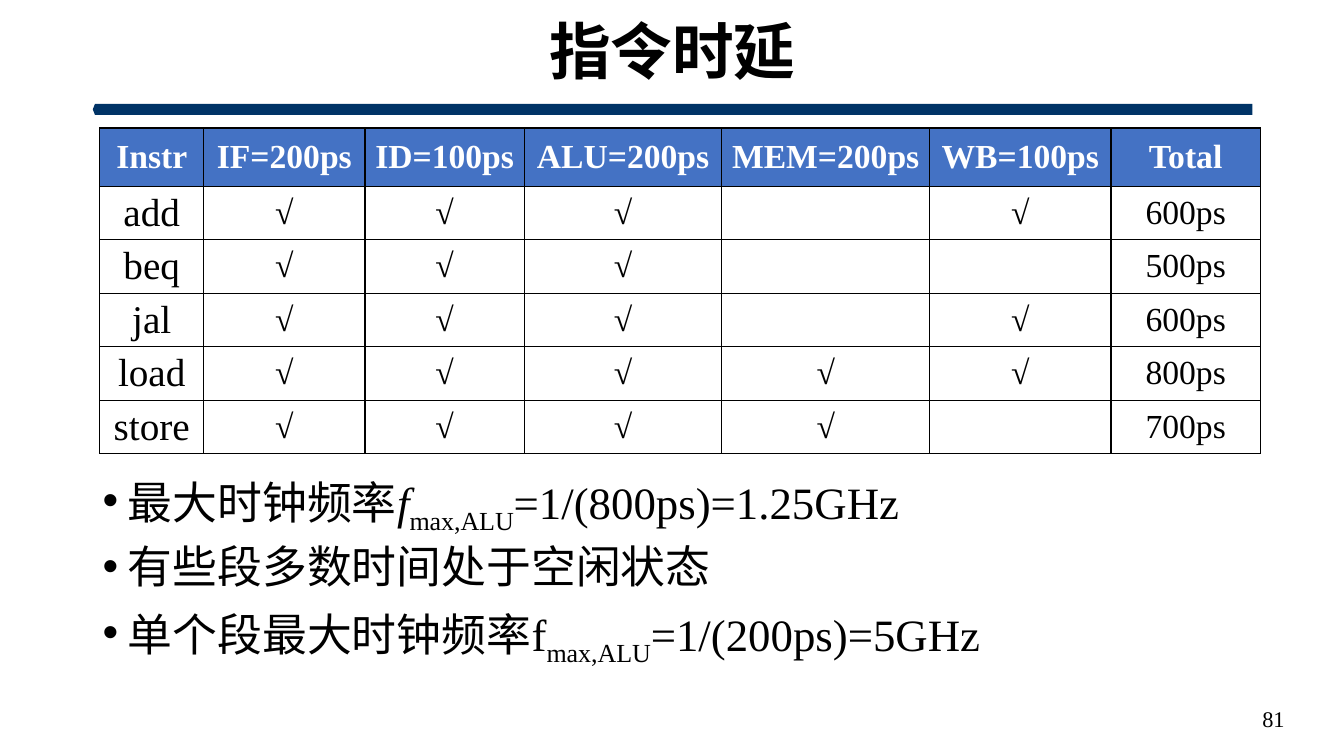
from dataclasses import dataclass

from lxml import etree
from pptx import Presentation
from pptx.dml.color import RGBColor
from pptx.enum.lang import MSO_LANGUAGE_ID
from pptx.enum.shapes import MSO_SHAPE
from pptx.enum.text import MSO_ANCHOR, PP_ALIGN
from pptx.oxml.ns import qn
from pptx.util import Inches, Pt

PENTAGON = MSO_SHAPE.PENTAGON
MIDDLE, TOP = MSO_ANCHOR.MIDDLE, MSO_ANCHOR.TOP
LEFT, CENTER, RIGHT = PP_ALIGN.LEFT, PP_ALIGN.CENTER, PP_ALIGN.RIGHT
CHINESE = MSO_LANGUAGE_ID.SIMPLIFIED_CHINESE


@dataclass(frozen=True)
class Theme:
    font: str = "Times New Roman"
    ink: str = "000000"
    paper: str = "FFFFFF"
    bar: str = "003366"
    header: str = "4472C4"
    title: int = 44
    body: int = 32
    instr: int = 28
    cell: int = 24
    number: int = 16


THEME = Theme()

STAGES = ["IF=200ps", "ID=100ps", "ALU=200ps", "MEM=200ps", "WB=100ps"]
COLUMN_WIDTHS = [1.03, 1.6, 1.58, 1.96, 2.06, 1.8, 1.48]
HEADER_HEIGHT, ROW_HEIGHT = 0.58, 0.53
# Instruction, stages it uses, total delay
INSTRUCTIONS = [
    ("add", "IF ID ALU WB", "600ps"),
    ("beq", "IF ID ALU", "500ps"),
    ("jal", "IF ID ALU WB", "600ps"),
    ("load", "IF ID ALU MEM WB", "800ps"),
    ("store", "IF ID ALU MEM", "700ps"),
]

ITALIC = {"italic": True}
SUBSCRIPT = {"baseline": "-25000"}
POINTS = [
    [("最大时钟频率", {}), ("f", ITALIC), ("max,ALU", SUBSCRIPT), ("=1/(800ps)=1.25GHz", {})],
    [("有些段多数时间处于空闲状态", {})],
    [("单个段最大时钟频率f", {}), ("max,ALU", SUBSCRIPT), ("=1/(200ps)=5GHz", {})],
]


def add_run(p, text, size, color=THEME.ink, baseline=None, **extra):
    r = p.add_run()
    r.text = text
    formats = {"name": THEME.font, "size": Pt(size), "language_id": CHINESE, **extra}
    for name, value in formats.items():
        setattr(r.font, name, value)
    r.font.color.rgb = RGBColor.from_string(color)
    if baseline:
        r.font._element.set("baseline", baseline)


def add_text_frame(s, box, anchor):
    tf = s.shapes.add_textbox(*map(Inches, box)).text_frame
    tf.word_wrap = True
    tf.vertical_anchor = anchor
    return tf


def add_line(s, box, text, size, align, **extra):
    """Add a one-line text box, centred vertically."""
    p = add_text_frame(s, box, MIDDLE).paragraphs[0]
    p.alignment = align
    p.line_spacing = 0.9
    add_run(p, text, size, **extra)


def add_title(s, box):
    x, y, w, h = box
    add_line(s, box, "指令时延", THEME.title, CENTER, bold=True)
    bar = s.shapes.add_shape(PENTAGON, *map(Inches, (x, y + h + 0.08, w, 0.11)))
    bar.adjustments[0] = 0.2
    bar.rotation = 180
    bar.shadow.inherit = False
    bar.fill.solid()
    bar.fill.fore_color.rgb = RGBColor.from_string(THEME.bar)
    bar.line.fill.background()


def set_borders(cell):
    tcPr = cell._tc.get_or_add_tcPr()
    for i, side in enumerate(("lnL", "lnR", "lnT", "lnB")):
        ln = etree.Element(qn(f"a:{side}"), w=str(Pt(1)))
        fill = etree.SubElement(ln, qn("a:solidFill"))
        etree.SubElement(fill, qn("a:srgbClr"), val=THEME.ink)
        tcPr.insert(i, ln)


def fill_cell(cell, text, size, color, bold, background):
    cell.fill.solid()
    cell.fill.fore_color.rgb = RGBColor.from_string(background)
    set_borders(cell)
    cell.vertical_anchor = MIDDLE
    cell.margin_top = cell.margin_bottom = Inches(0.03)
    cell.margin_left = cell.margin_right = Inches(0.05)
    p = cell.text_frame.paragraphs[0]
    p.alignment = CENTER
    if text:
        add_run(p, text, size, color, bold=bold)


def add_delay_table(s, x, y):
    rows = [["Instr", *STAGES, "Total"]]
    for name, used, total in INSTRUCTIONS:
        marks = ["√" if stage.split("=")[0] in used.split() else "" for stage in STAGES]
        rows.append([name, *marks, total])
    heights = [HEADER_HEIGHT] + [ROW_HEIGHT] * len(INSTRUCTIONS)
    box = (x, y, sum(COLUMN_WIDTHS), sum(heights))
    table = s.shapes.add_table(len(rows), len(COLUMN_WIDTHS), *map(Inches, box)).table
    for column, width in zip(table.columns, COLUMN_WIDTHS):
        column.width = Inches(width)
    for row, height in zip(table.rows, heights):
        row.height = Inches(height)
    for i, texts in enumerate(rows):
        for j, text in enumerate(texts):
            size = THEME.instr if i and j == 0 else THEME.cell
            color, background = (THEME.ink, THEME.paper) if i else (THEME.paper, THEME.header)
            fill_cell(table.cell(i, j), text, size, color, i == 0 or text == "√", background)


def add_points(s, box):
    tf = add_text_frame(s, box, TOP)
    for i, runs in enumerate(POINTS):
        p = tf.add_paragraph() if i else tf.paragraphs[0]
        pPr = p._p.get_or_add_pPr()
        pPr.set("marL", str(Inches(0.25)))
        pPr.set("indent", str(Inches(-0.25)))
        etree.SubElement(pPr, qn("a:buFont"), typeface="Arial")
        etree.SubElement(pPr, qn("a:buChar"), char="•")
        p.alignment = LEFT
        p.line_spacing = 0.9
        if i:
            p.space_before = Pt(10)
        for text, extra in runs:
            add_run(p, text, THEME.body, **extra)


def main():
    prs = Presentation()
    prs.slide_width, prs.slide_height = Inches(13.33), Inches(7.5)
    s = prs.slides.add_slide(prs.slide_layouts[6])
    add_title(s, (0.92, 0.13, 11.5, 0.82))
    add_delay_table(s, 0.99, 1.27)
    add_points(s, (0.92, 4.67, 11.5, 2.1))
    add_line(s, (9.84, 6.95, 3, 0.4), "81", THEME.number, RIGHT)
    prs.save("out.pptx")


if __name__ == "__main__":
    main()
